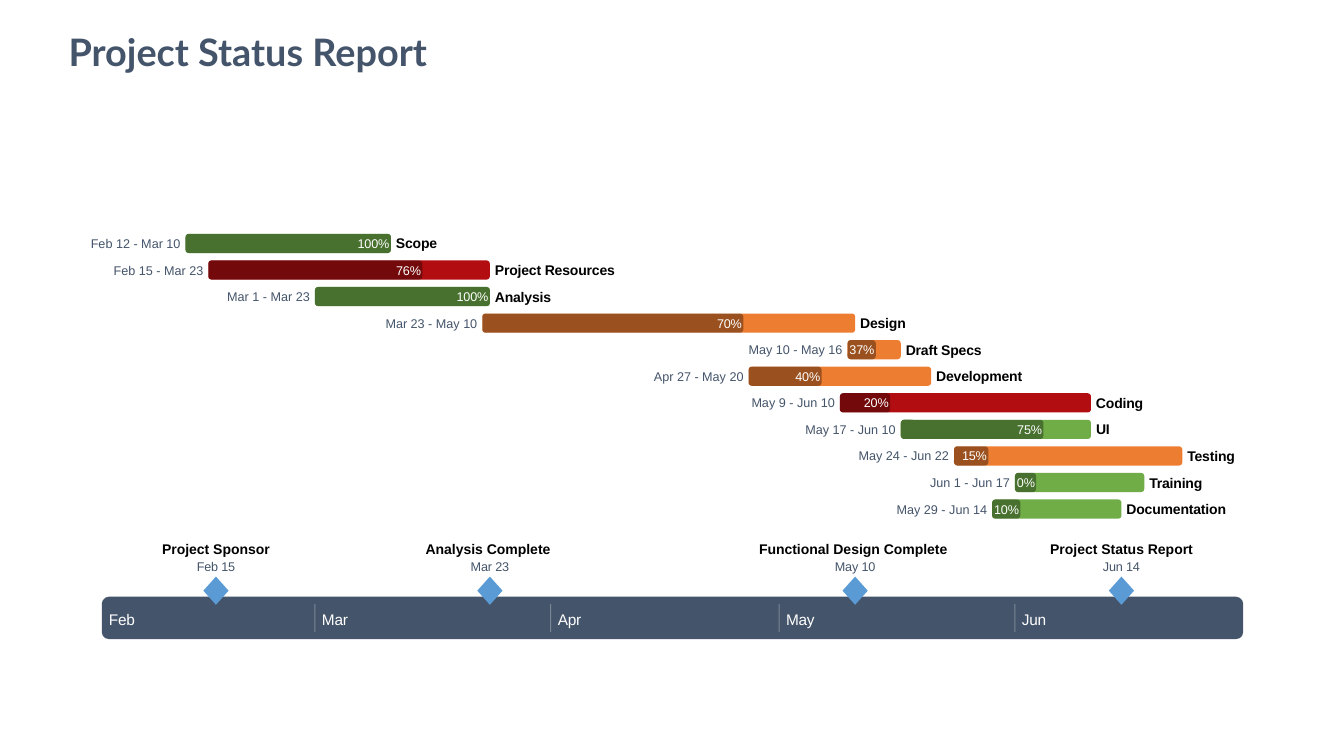
from lxml import etree
from pptx import Presentation
from pptx import util as u
from pptx.dml.color import RGBColor
from pptx.enum import shapes, text
from pptx.oxml.ns import qn

COLORS = {
    "slate": "44546A", "white": "FFFFFF", "black": "000000", "milestone": "5B9BD5",
    "green": "70AD47", "red": "B20E12", "orange": "ED7D31",
}
SLIDE_WIDTH, SLIDE_HEIGHT = 13.33, 7.5
MONTH_STARTS = {"Feb": 0, "Mar": 28, "Apr": 59, "May": 89, "Jun": 120}
TIMELINE_LEFT, TIMELINE_WIDTH, TIMELINE_DAYS = 1.01, 11.32, 150
DAY = TIMELINE_WIDTH / TIMELINE_DAYS
BAND_TOP, BAND_HEIGHT = 5.92, 0.42
FIRST_ROW, ROW_PITCH, BAR_HEIGHT = 2.32, 0.2635, 0.19
BAR_GAP = 0.05

TASKS = [
    ("Scope", "Feb 12", "Mar 10", 100, "green"),
    ("Project Resources", "Feb 15", "Mar 23", 76, "red"),
    ("Analysis", "Mar 1", "Mar 23", 100, "green"),
    ("Design", "Mar 23", "May 10", 70, "orange"),
    ("Draft Specs", "May 10", "May 16", 37, "orange"),
    ("Development", "Apr 27", "May 20", 40, "orange"),
    ("Coding", "May 9", "Jun 10", 20, "red"),
    ("UI", "May 17", "Jun 10", 75, "green"),
    ("Testing", "May 24", "Jun 22", 15, "orange"),
    ("Training", "Jun 1", "Jun 17", 0, "green"),
    ("Documentation", "May 29", "Jun 14", 10, "green"),
]
MILESTONES = [
    ("Project Sponsor", "Feb 15"),
    ("Analysis Complete ", "Mar 23"),
    ("Functional Design Complete ", "May 10"),
    ("Project Status Report", "Jun 14"),
]


def day_end(date):
    month, day = date.split()
    return TIMELINE_LEFT + (MONTH_STARTS[month] + int(day)) * DAY


def day_start(date):
    return day_end(date) - DAY


def set_alpha(fill_parent, percent):
    color = fill_parent.find(".//" + qn("a:srgbClr"))
    etree.SubElement(color, qn("a:alpha")).set("val", str(percent * 1000))


def write(frame, content, size=9, color="slate", bold=False, font="Arial",
          align="LEFT", anchor="MIDDLE", inset=0, spacing=0):
    frame.word_wrap = True
    frame.auto_size = text.MSO_AUTO_SIZE.NONE
    frame.vertical_anchor = text.MSO_ANCHOR[anchor]
    frame.margin_left = frame.margin_right = u.Inches(inset)
    frame.margin_top = frame.margin_bottom = u.Inches(inset / 2)
    paragraph = frame.paragraphs[0]
    paragraph.alignment = text.PP_ALIGN[align]
    run = paragraph.add_run()
    run.text = content
    run.font.size = u.Pt(size)
    run.font.name = font
    run.font.bold = bold
    run.font.color.rgb = RGBColor.from_string(COLORS[color])
    if spacing:
        run.font._element.set("spc", str(round(spacing * 100)))


def add_label(slide, content, left, middle, width, **style):
    height = style.get("size", 9) * 0.016
    label = slide.shapes.add_textbox(
        u.Inches(left), u.Inches(middle - height / 2), u.Inches(width), u.Inches(height))
    write(label.text_frame, content, **style)


def add_block(slide, kind, left, top, width, height, color, alpha=None):
    block = slide.shapes.add_shape(
        shapes.MSO_SHAPE[kind], *map(u.Inches, (left, top, width, height)))
    block.shadow.inherit = False
    block.fill.solid()
    block.fill.fore_color.rgb = RGBColor.from_string(COLORS[color])
    block.line.fill.background()
    if alpha:
        set_alpha(block._element.spPr, alpha)


def add_divider(slide, x):
    inset = BAND_HEIGHT / 6
    divider = slide.shapes.add_connector(
        shapes.MSO_CONNECTOR.STRAIGHT, u.Inches(x), u.Inches(BAND_TOP + inset),
        u.Inches(x), u.Inches(BAND_TOP + BAND_HEIGHT - inset))
    divider.line.width = u.Pt(0.75)
    divider.line.color.rgb = RGBColor.from_string(COLORS["white"])
    properties = divider._element.spPr
    set_alpha(properties, 30)
    etree.SubElement(properties, qn("a:effectLst"))


def add_title(slide, content):
    title = slide.shapes.title
    title.left, title.top = u.Inches(0.58), u.Inches(0.39)
    title.width, title.height = u.Inches(SLIDE_WIDTH / 2), u.Inches(0.4)
    write(title.text_frame, content, size=27, bold=True, font="Lato",
          anchor="BOTTOM", inset=0.1)


def add_timeline(slide):
    add_block(slide, "ROUNDED_RECTANGLE", TIMELINE_LEFT, BAND_TOP,
              TIMELINE_WIDTH, BAND_HEIGHT, "slate")
    for month, start in MONTH_STARTS.items():
        x = TIMELINE_LEFT + start * DAY
        add_label(slide, month, x + 0.07, BAND_TOP + BAND_HEIGHT / 2 + 0.01, 0.35,
                  size=11, color="white", spacing=-0.2)
        if start:
            add_divider(slide, x)


def add_task(slide, row, name, start, end, percent, color):
    left, right = day_start(start), day_end(end)
    top = FIRST_ROW + row * ROW_PITCH
    middle = top + BAR_HEIGHT / 2
    progress = f"{percent}%"
    progress_width = 0.05 + 0.07 * len(progress)
    done = max((right - left) * percent / 100, progress_width + 0.02)
    date_width = 0.95
    add_block(slide, "ROUNDED_RECTANGLE", left, top, right - left, BAR_HEIGHT, color)
    add_block(slide, "ROUNDED_RECTANGLE", left, top, done, BAR_HEIGHT, "black", alpha=35)
    add_label(slide, f"{start} - {end}", left - BAR_GAP - date_width, middle, date_width,
              align="RIGHT")
    add_label(slide, name, right + BAR_GAP, middle, 0.02 + 0.085 * len(name),
              size=10, color="black", bold=True, spacing=-0.1)
    add_label(slide, progress, left + done - progress_width, middle, progress_width,
              color="white", spacing=-0.1)


def add_milestone(slide, name, date):
    center = day_end(date)
    width, height = 0.25, 0.28
    add_block(slide, "DIAMOND", center - width / 2, 5.72, width, height, "milestone")
    name_width, date_width = 0.08 * len(name), 0.45
    add_label(slide, name, center - name_width / 2, 5.45, name_width,
              size=10, color="black", bold=True, align="CENTER")
    add_label(slide, date, center - date_width / 2, 5.62, date_width,
              align="CENTER", spacing=-0.1)


def main():
    deck = Presentation()
    deck.slide_width, deck.slide_height = u.Inches(SLIDE_WIDTH), u.Inches(SLIDE_HEIGHT)
    slide = deck.slides.add_slide(deck.slide_layouts[5])
    add_title(slide, "Project Status Report")
    add_timeline(slide)
    for row, task in enumerate(TASKS):
        add_task(slide, row, *task)
    for milestone in MILESTONES:
        add_milestone(slide, *milestone)
    deck.save("out.pptx")


if __name__ == "__main__":
    main()
